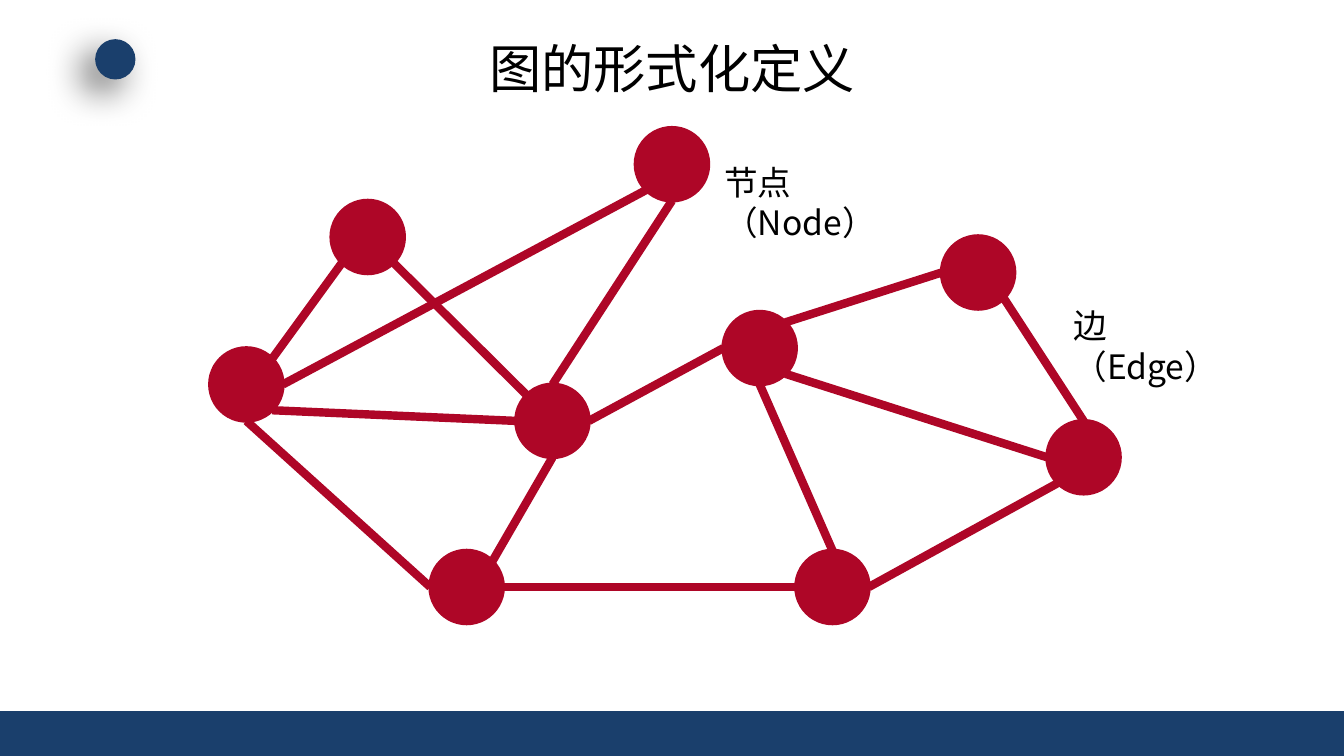
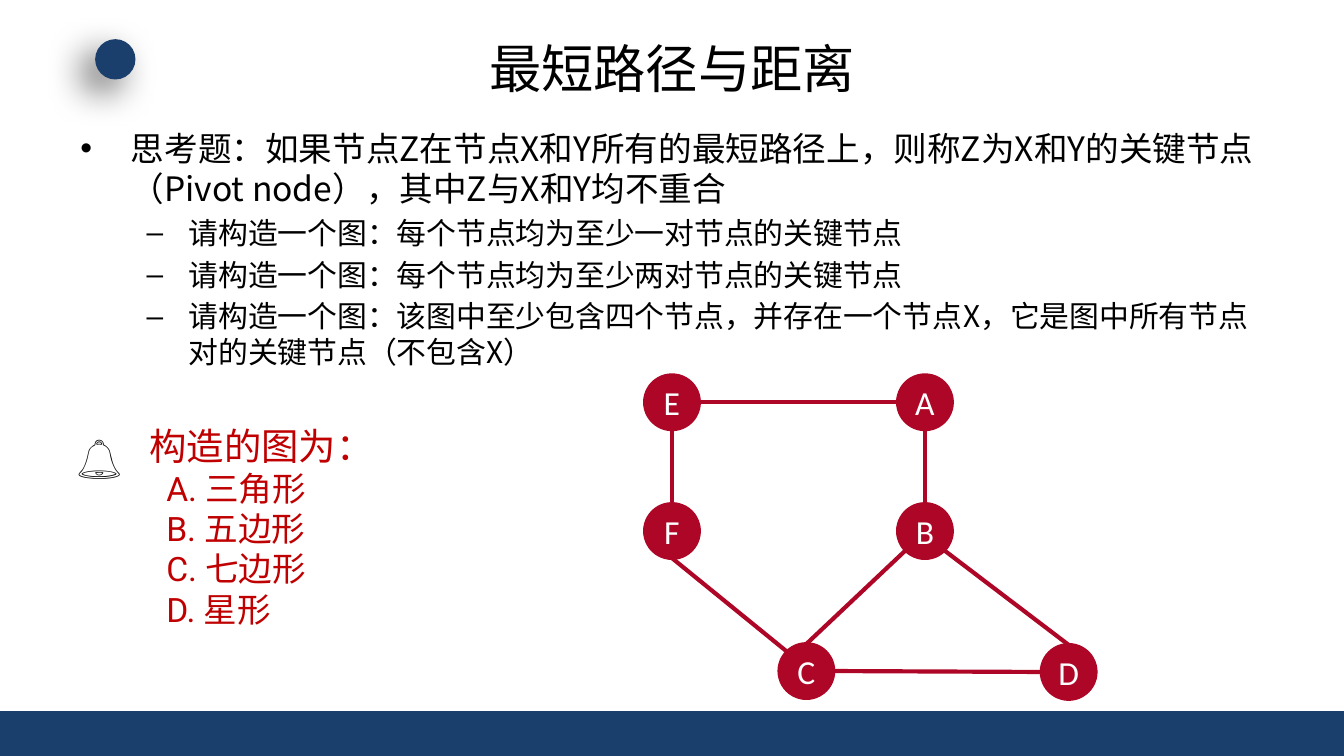
from math import cos, radians, sin

from lxml.etree import SubElement
from pptx import Presentation
from pptx.dml.color import RGBColor
from pptx.enum.shapes import MSO_CONNECTOR, MSO_SHAPE
from pptx.enum.text import MSO_ANCHOR, PP_ALIGN
from pptx.oxml.ns import qn
from pptx.util import Pt

WIDTH, HEIGHT = 720, 405
NAVY, CRIMSON, RED, BLACK, WHITE = "1A3F6C", "AE0627", "C00000", "000000", "FFFFFF"
CHINESE_FONT = "Noto Sans CJK SC"
ANGLES = {"E": 0, "SE": 45, "S": 90, "SW": 135, "W": 180, "NW": 225, "N": 270, "NE": 315}

NETWORK = {
    "nodes": {
        "a": (85, 59), "b": (20, 138), "c": (138, 246.5),
        "d": (184, 157.5), "e": (295, 118.5), "f": (334, 246.5),
        "g": (468.5, 177), "h": (412, 78), "i": (248, 20),
    },
    "edges": [
        "b NE a SW", "b E i SW", "a SE d NW", "b SE d W", "b S c W",
        "d S c NE", "f W c E", "e W d E", "i S d N", "h W e NE",
        "h SE g N", "f E g SW", "e SE g W", "e S f N",
    ],
}
PIVOT_GRAPH = {
    "nodes": {
        "E": (15, 14.5), "A": (150.5, 14.5), "F": (15, 83.5),
        "B": (150.5, 83.5), "C": (87, 158.5), "D": (227.5, 159),
    },
    "edges": [
        "A W E E", "F N E S", "B N A S", "B SW C N",
        "B SE D N", "C E D W", "C NW F S",
    ],
}
QUESTION = "思考题：如果节点Z在节点X和Y所有的最短路径上，则称Z为X和Y的关键节点（Pivot node），其中Z与X和Y均不重合"
TASKS = [
    "请构造一个图：每个节点均为至少一对节点的关键节点",
    "请构造一个图：每个节点均为至少两对节点的关键节点",
    "请构造一个图：该图中至少包含四个节点，并存在一个节点X，它是图中所有节点对的关键节点（不包含X）",
]
ANSWERS = ["A. 三角形", "B. 五边形", "C. 七边形", "D. 星形"]


def color(value):
    return RGBColor.from_string(value)


def apply_format(target, values):
    for name, value in values.items():
        setattr(target, name, value)


def write(paragraph, text, size, font=CHINESE_FONT, fill=BLACK, align=PP_ALIGN.LEFT):
    run = paragraph.add_run()
    run.text = text
    paragraph.alignment = align
    apply_format(run.font, {"size": Pt(size), "name": font})
    run.font.color.rgb = color(fill)
    SubElement(run.font._element, qn("a:ea"), typeface=CHINESE_FONT)


def indent(paragraph, left, hanging=0, bullet=None):
    properties = paragraph._p.get_or_add_pPr()
    properties.set("marL", str(Pt(left)))
    properties.set("indent", str(-Pt(hanging)))
    if bullet:
        SubElement(properties, qn("a:buFont"), typeface="Arial")
        SubElement(properties, qn("a:buChar"), char=bullet)


def add_text(slide, box, lines, anchor=MSO_ANCHOR.TOP):
    frame = slide.shapes.add_textbox(*map(Pt, box)).text_frame
    apply_format(frame, {"word_wrap": True, "vertical_anchor": anchor})
    for number, line in enumerate(lines):
        paragraph = frame.add_paragraph() if number else frame.paragraphs[0]
        if "indent" in line:
            indent(paragraph, *line["indent"])
        if number:
            paragraph.space_before = Pt(line.get("before", 0))
        write(paragraph, **line["run"])


def add_filled(slide, kind, box, fill, line_width=0):
    shape = slide.shapes.add_shape(kind, *map(Pt, box))
    shape.shadow.inherit = False
    shape.fill.solid()
    shape.fill.fore_color.rgb = color(fill)
    if line_width:
        shape.line.color.rgb = color(fill)
        shape.line.width = Pt(line_width)
    else:
        shape.line.fill.background()
    return shape


def add_shadow(shape):
    effects = shape._element.spPr.find(qn("a:effectLst"))
    shadow = SubElement(effects, qn("a:outerShdw"), blurRad=str(Pt(20)),
                        dist=str(Pt(10)), dir=str(135 * 60000), algn="ctr", rotWithShape="0")
    shade = SubElement(shadow, qn("a:srgbClr"), val=BLACK)
    SubElement(shade, qn("a:alpha"), val="60000")


def add_frame(presentation, title):
    slide = presentation.slides.add_slide(presentation.slide_layouts[6])
    add_filled(slide, MSO_SHAPE.RECTANGLE, (0, HEIGHT - 24, WIDTH, 24), NAVY)
    add_shadow(add_filled(slide, MSO_SHAPE.OVAL, (51, 21, 21.6, 21.6), NAVY))
    heading = {"run": {"text": title, "size": 28, "align": PP_ALIGN.CENTER}}
    add_text(slide, (36, 16.5, WIDTH - 72, 39.5), [heading], MSO_ANCHOR.MIDDLE)
    return slide


def add_graph(slide, origin, graph, diameter, edge_width, labelled=False):
    left, top = origin
    radius = diameter / 2
    centers = {name: (left + x, top + y) for name, (x, y) in graph["nodes"].items()}

    def site(name, side):
        x, y = centers[name]
        angle = radians(ANGLES[side])
        return Pt(x + radius * cos(angle)), Pt(y + radius * sin(angle))

    for name, (x, y) in centers.items():
        node = add_filled(slide, MSO_SHAPE.OVAL,
                          (x - radius, y - radius, diameter, diameter), CRIMSON, 2)
        if labelled:
            frame = node.text_frame
            apply_format(frame, {
                "margin_left": 0, "margin_right": 0, "margin_top": 0, "margin_bottom": 0,
                "vertical_anchor": MSO_ANCHOR.MIDDLE, "word_wrap": False,
            })
            write(frame.paragraphs[0], name, 18, "Calibri", WHITE, PP_ALIGN.CENTER)
    for edge in graph["edges"]:
        start, start_side, end, end_side = edge.split()
        connector = slide.shapes.add_connector(
            MSO_CONNECTOR.STRAIGHT, *site(start, start_side), *site(end, end_side))
        connector.line.color.rgb = color(CRIMSON)
        connector.line.width = Pt(edge_width)
        SubElement(connector._element.spPr, qn("a:effectLst"))


def add_question(slide, box):
    lines = [{"run": {"text": QUESTION, "size": 18}, "indent": (27, 27, "•")}]
    lines += [{"run": {"text": task, "size": 16}, "indent": (58, 22.5, "–"), "before": 3.2}
              for task in TASKS]
    add_text(slide, box, lines)


def add_answers(slide, box):
    left, top, width, height = box
    style = {"font": "Roboto", "fill": RED}
    lines = [{"run": {"text": "构造的图为：", "size": 20, **style}}]
    lines += [{"run": {"text": answer, "size": 18, **style}, "indent": (9,)}
              for answer in ANSWERS]
    add_text(slide, (left + 39, top, width - 39, height), lines)
    bell = {"run": {"text": "🔔", "size": 28, "font": "Roboto"}}
    add_text(slide, (left, top, 50, 41), [bell])


def build_definition(presentation):
    slide = add_frame(presentation, "图的形式化定义")
    add_graph(slide, (112, 68), NETWORK, 39, 4.5)
    for text, box in (("节点（Node）", (381, 83, 130, 29)), ("边（Edge）", (568, 160, 108, 29))):
        add_text(slide, box, [{"run": {"text": text, "size": 18}}])


def build_shortest_paths(presentation):
    slide = add_frame(presentation, "最短路径与距离")
    add_question(slide, (36, 65, WIDTH - 72, 151))
    add_graph(slide, (345, 201), PIVOT_GRAPH, 29, 2.25, labelled=True)
    add_answers(slide, (34, 223, 180, 119))


def main():
    presentation = Presentation()
    apply_format(presentation, {"slide_width": Pt(WIDTH), "slide_height": Pt(HEIGHT)})
    build_definition(presentation)
    build_shortest_paths(presentation)
    presentation.save("out.pptx")


if __name__ == "__main__":
    main()
